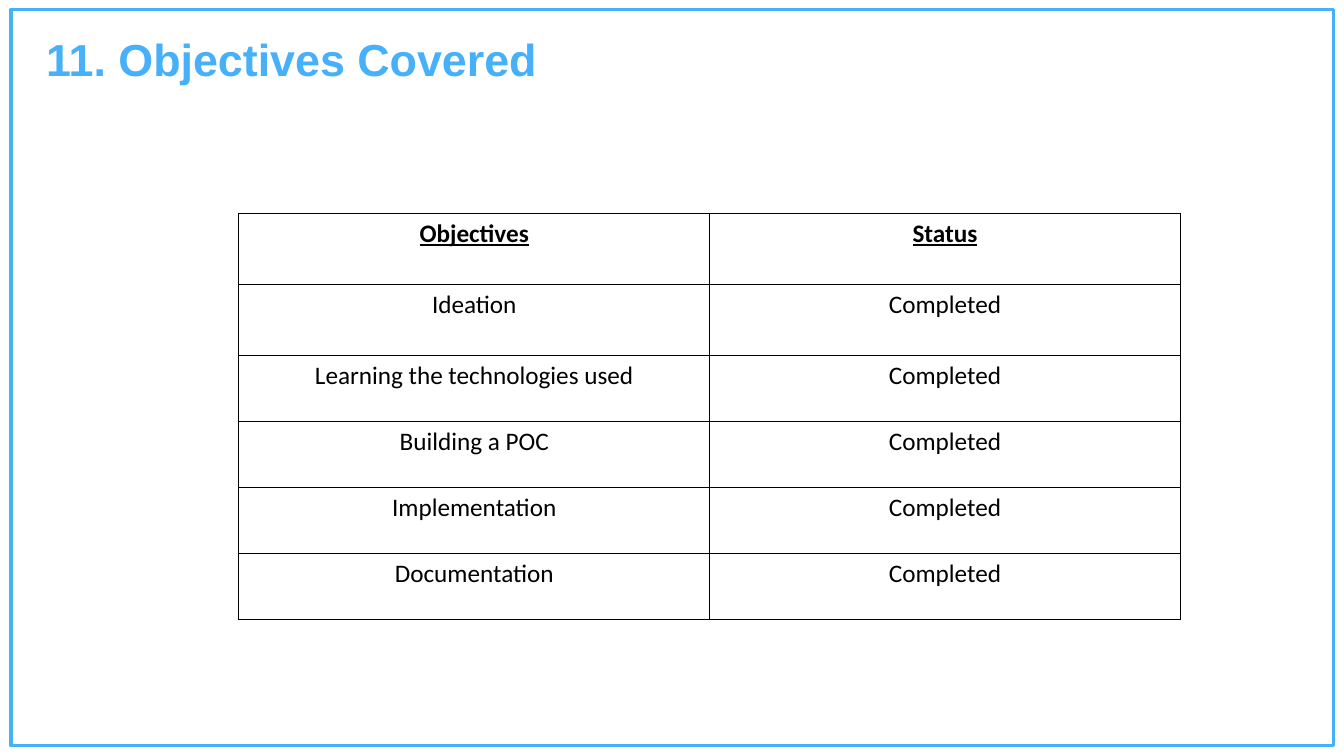
from lxml import etree
from pptx import Presentation
from pptx import util as u
from pptx.dml.color import RGBColor
from pptx.enum import shapes, text
from pptx.oxml.ns import qn

OBJECTIVES = ["Ideation", "Learning the technologies used", "Building a POC",
              "Implementation", "Documentation"]
ROWS = [("Objectives", "Status")] + [(name, "Completed") for name in OBJECTIVES]
ROW_HEIGHTS = [8.45, 8.45] + [7.86] * 4


def color(value):
    return RGBColor.from_string(value)


class ObjectivesSlide:
    """Places elements on a grid of 160 columns by 90 rows."""

    FRAME_BLUE, TITLE_BLUE, INK, PAPER = "46B0F9", "46B0FA", "000000", "FFFFFF"
    TITLE_FONT, TABLE_FONT = "Arial", "Calibri"
    COLUMNS, ROWS = 160, 90

    def __init__(self, presentation):
        self.cell_width = presentation.slide_width / self.COLUMNS
        self.cell_height = presentation.slide_height / self.ROWS
        self.slide = presentation.slides.add_slide(presentation.slide_layouts[6])
        background = self.slide.background.fill
        background.solid()
        background.fore_color.rgb = color(self.PAPER)

    def across(self, columns):
        return u.Emu(round(columns * self.cell_width))

    def down(self, rows):
        return u.Emu(round(rows * self.cell_height))

    def box(self, left, top, width, height):
        return self.across(left), self.down(top), self.across(width), self.down(height)

    def add_run(self, paragraph, wording, size, font, ink, bold=False, underline=False):
        run = paragraph.add_run()
        run.text = wording
        run.font.size = u.Pt(size)
        run.font.name = font
        run.font.color.rgb = color(ink)
        run.font.bold = bold
        run.font.underline = underline

    def frame(self, *place):
        shape = self.slide.shapes.add_shape(shapes.MSO_SHAPE.RECTANGLE, *self.box(*place))
        shape.shadow.inherit = False
        shape.fill.background()
        shape.line.color.rgb = color(self.FRAME_BLUE)
        shape.line.width = u.Pt(2.25)

    def title(self, wording, *place):
        text_frame = self.slide.shapes.add_textbox(*self.box(*place)).text_frame
        text_frame.word_wrap = True
        text_frame.auto_size = text.MSO_AUTO_SIZE.SHAPE_TO_FIT_TEXT
        self.add_run(text_frame.paragraphs[0], wording, 32, self.TITLE_FONT,
                     self.TITLE_BLUE, bold=True)

    def border(self, cell):
        properties = cell._tc.get_or_add_tcPr()
        for position, side in enumerate(("a:lnL", "a:lnR", "a:lnT", "a:lnB")):
            line = etree.Element(qn(side), w=str(u.Pt(1)))
            fill = etree.SubElement(line, qn("a:solidFill"))
            etree.SubElement(fill, qn("a:srgbClr"), val=self.INK)
            properties.insert(position, line)

    def table(self, rows, heights, left, top, width):
        table = self.slide.shapes.add_table(
            len(rows), len(rows[0]), *self.box(left, top, width, sum(heights))).table
        for column in table.columns:
            column.width = self.across(width / len(rows[0]))
        for index, (wordings, height) in enumerate(zip(rows, heights)):
            table.rows[index].height = self.down(height)
            for cell, wording in zip(table.rows[index].cells, wordings):
                cell.fill.solid()
                cell.fill.fore_color.rgb = color(self.PAPER)
                self.border(cell)
                paragraph = cell.text_frame.paragraphs[0]
                paragraph.alignment = text.PP_ALIGN.CENTER
                heading = index == 0
                self.add_run(paragraph, wording, 18, self.TABLE_FONT, self.INK,
                             bold=heading, underline=heading)


def main():
    presentation = Presentation()
    presentation.slide_width = u.Inches(13.33)
    presentation.slide_height = u.Inches(7.5)
    page = ObjectivesSlide(presentation)

    # Border and title
    page.frame(1.32, 1.08, 157.44, 87.72)
    page.title("11. Objectives Covered", 4.32, 3.24, 98.88, 7.68)

    # Status of each objective
    page.table(ROWS, ROW_HEIGHTS, 28.44, 25.4, 112.1)

    presentation.save("out.pptx")


if __name__ == "__main__":
    main()
